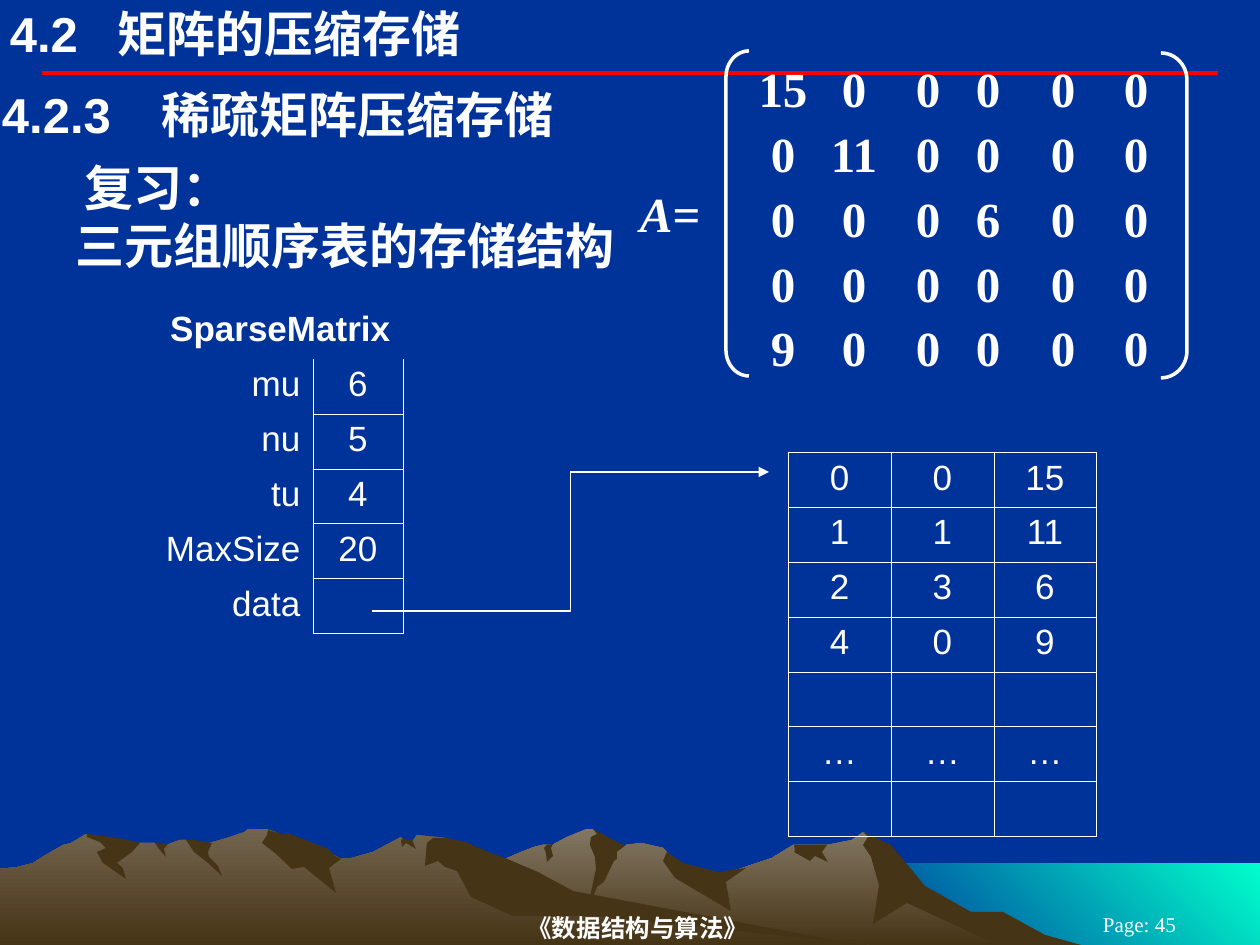
from lxml import etree
from pptx import Presentation
from pptx.dml.color import RGBColor
from pptx.enum.shapes import MSO_CONNECTOR, MSO_SHAPE
from pptx.enum.text import MSO_ANCHOR, PP_ALIGN
from pptx.oxml.ns import qn
from pptx.util import Pt

STRAIGHT, ELBOW = MSO_CONNECTOR.STRAIGHT, MSO_CONNECTOR.ELBOW
RECTANGLE = MSO_SHAPE.RECTANGLE
LEFT_BRACKET, RIGHT_BRACKET = MSO_SHAPE.LEFT_BRACKET, MSO_SHAPE.RIGHT_BRACKET
LEFT, CENTER, RIGHT = PP_ALIGN.LEFT, PP_ALIGN.CENTER, PP_ALIGN.RIGHT
TOP, MIDDLE = MSO_ANCHOR.TOP, MSO_ANCHOR.MIDDLE

SCALE = 914400 / 126
WIDTH, HEIGHT = 1260, 945
SANS, SERIF = "Arial", "Times New Roman"
WHITE, NAVY, RED, TEAL, EARTH = "FFFFFF", "003399", "FF0000", "00FFCC", "463416"
NO_GRID_STYLE = "{2D5ABB26-0587-4C30-8999-92F81FD0307C}"
ROW_HEIGHT = 55

FAR_RIDGE = [
    (1011, 932), (980, 916), (963, 911), (911, 879), (885, 845), (863, 832), (852, 840),
    (827, 845), (793, 845), (772, 858), (713, 878), (675, 869), (667, 852), (663, 848),
    (641, 843), (626, 845), (612, 848), (597, 833), (593, 829), (586, 829), (567, 837),
    (552, 845), (542, 845), (534, 847), (519, 853), (496, 863), (447, 879), (412, 893),
    (349, 931), (325, 945), (1034, 945)]
FAR_SHADES = [
    [(1003, 912), (971, 912), (925, 886), (891, 845), (863, 832), (868, 837), (863, 845),
     (871, 857), (879, 885), (873, 924), (907, 903), (998, 945), (1081, 945), (1045, 935)],
    [(593, 829), (597, 834), (591, 837), (590, 845), (595, 857), (596, 869), (586, 916),
     (597, 887), (604, 882), (614, 861), (617, 859), (617, 852), (626, 845), (621, 844)],
    [(667, 852), (663, 861), (675, 878), (731, 911), (726, 882), (746, 868), (718, 872),
     (683, 863)],
    [(794, 845), (795, 851), (794, 852), (810, 861), (815, 856), (828, 862), (822, 852),
     (827, 845)],
    [(546, 853), (544, 848), (547, 845), (553, 844), (551, 848), (553, 856), (547, 862)]]
NEAR_RIDGE = [
    (869, 945), (840, 942), (544, 897), (446, 838), (417, 835), (412, 842), (407, 842),
    (401, 837), (373, 852), (352, 858), (341, 859), (328, 852), (297, 858), (281, 835),
    (276, 832), (267, 829), (248, 829), (244, 832), (227, 838), (202, 845), (186, 840),
    (180, 840), (166, 845), (161, 845), (155, 843), (140, 843), (118, 845), (86, 834),
    (71, 843), (63, 845), (44, 856), (33, 863), (18, 867), (0, 869), (0, 945)]
NEAR_SHADES = [
    [(267, 835), (262, 843), (276, 854), (292, 869), (304, 867), (336, 893), (329, 868),
     (341, 859), (335, 856), (328, 849), (318, 845), (300, 838), (290, 834), (282, 834),
     (268, 830)],
    [(466, 842), (446, 838), (433, 838), (427, 843), (425, 866), (438, 861), (445, 867),
     (457, 871), (471, 897), (513, 916), (595, 916), (869, 945), (861, 945), (573, 891),
     (538, 872), (505, 858), (486, 851)],
    [(401, 840), (403, 839), (401, 837), (407, 840), (412, 840), (416, 849), (406, 843),
     (402, 847)],
    [(194, 840), (212, 843), (208, 852), (209, 857), (218, 866), (222, 876), (208, 863),
     (194, 852), (186, 840)],
    [(168, 844), (164, 849), (166, 857), (159, 849), (155, 843)],
    [(137, 842), (140, 843), (132, 852), (117, 863), (123, 868), (126, 879), (103, 863),
     (97, 852), (106, 848), (100, 842), (87, 837), (87, 834), (118, 838)]]

MATRIX = [
    (15, 0, 0, 0, 0, 0), (0, 11, 0, 0, 0, 0), (0, 0, 0, 6, 0, 0),
    (0, 0, 0, 0, 0, 0), (9, 0, 0, 0, 0, 0)]
MATRIX_COLUMNS = [25, 96, 170, 230, 305, 378]
FIELDS = [["SparseMatrix", ""], ["mu", "6"], ["nu", "5"], ["tu", "4"], ["MaxSize", "20"], ["data", ""]]
TRIPLES = [
    ["0", "0", "15"], ["1", "1", "11"], ["2", "3", "6"], ["4", "0", "9"],
    [""] * 3, ["…"] * 3, [""] * 3]


def px(length):
    return round(length * SCALE)


def rgb(color):
    return RGBColor.from_string(color)


class Page:
    """Holds the slide being drawn and its style."""

    def __init__(self, deck):
        self.slide = deck.slides.add_slide(deck.slide_layouts[6])
        self.shapes = self.slide.shapes
        background = self.slide.background.fill
        background.solid()
        background.fore_color.rgb = rgb(NAVY)

    def paint(self, shape, colors, angle=270):
        shape.shadow.inherit = False
        shape.line.fill.background()
        if len(colors) == 1:
            shape.fill.solid()
            shape.fill.fore_color.rgb = rgb(colors[0])
            return
        shape.fill.gradient()
        shape.fill.gradient_angle = angle
        for stop, color in zip(shape.fill.gradient_stops, colors):
            stop.color.rgb = rgb(color)

    def block(self, x, y, width, height, colors, angle):
        shape = self.shapes.add_shape(RECTANGLE, px(x), px(y), px(width), px(height))
        self.paint(shape, colors, angle)

    def outline(self, points, *colors):
        builder = self.shapes.build_freeform(*points[0], scale=SCALE)
        builder.add_line_segments(points[1:], close=True)
        self.paint(builder.convert_to_shape(), colors)

    def bracket(self, kind, x, y, width, height, curve):
        shape = self.shapes.add_shape(kind, px(x), px(y), px(width), px(height))
        shape.adjustments[0] = curve / width
        shape.shadow.inherit = False
        shape.fill.background()
        shape.line.color.rgb = rgb(WHITE)
        shape.line.width = Pt(2)

    def line(self, kind, start, end, color, weight, arrow=False):
        line = self.shapes.add_connector(kind, *map(px, start + end))
        line.line.color.rgb = rgb(color)
        line.line.width = Pt(weight)
        properties = line._element.spPr
        if arrow:
            etree.SubElement(properties.find(qn("a:ln")), qn("a:tailEnd"), type="triangle")
        etree.SubElement(properties, qn("a:effectLst"))

    def style(self, para, size, font=SANS, bold=False, align=LEFT):
        para.alignment = align
        para.font.size = Pt(size)
        para.font.name = font
        para.font.bold = bold
        para.font.color.rgb = rgb(WHITE)

    def text(self, x, y, width, height, lines, size=28, font=SANS, bold=True, align=LEFT,
             anchor=TOP, tabs=(), tab_kind="l", indents=(), pitch=None):
        frame = self.shapes.add_textbox(px(x), px(y), px(width), px(height)).text_frame
        frame.word_wrap = True
        frame.vertical_anchor = anchor
        frame.margin_left = frame.margin_right = frame.margin_top = frame.margin_bottom = 0
        for index, line in enumerate(lines):
            para = frame.paragraphs[0] if index == 0 else frame.add_paragraph()
            para.text = line
            properties = para._p.get_or_add_pPr()
            if indents:
                properties.set("marL", str(px(indents[index])))
            if pitch:
                para.line_spacing = Pt(pitch)
            if tabs:
                stops = etree.SubElement(properties, qn("a:tabLst"))
                for tab in tabs:
                    etree.SubElement(stops, qn("a:tab"), pos=str(px(tab)), algn=tab_kind)
            self.style(para, size, font, bold, align)
        return frame

    def table(self, x, y, widths, rows, aligns, bordered):
        table = self.shapes.add_table(
            len(rows), len(widths), px(x), px(y), px(sum(widths)), px(ROW_HEIGHT * len(rows))).table
        table.first_row = table.horz_banding = False
        table._tbl.tblPr.find(qn("a:tableStyleId")).text = NO_GRID_STYLE
        for column, width in zip(table.columns, widths):
            column.width = px(width)
        for r, row in enumerate(rows):
            table.rows[r].height = px(ROW_HEIGHT)
            for c, value in enumerate(row):
                cell = table.cell(r, c)
                cell.text = value
                self.style(cell.text_frame.paragraphs[0], 20, align=aligns[c])
                for side in bordered(r, c):
                    self.border(cell, side)
                cell.fill.background()
        return table

    def border(self, cell, side):
        edge = etree.SubElement(cell._tc.get_or_add_tcPr(), qn("a:ln" + side), w=str(Pt(0.45)))
        fill = etree.SubElement(edge, qn("a:solidFill"))
        etree.SubElement(fill, qn("a:srgbClr"), val=WHITE)


def main():
    deck = Presentation()
    deck.slide_width, deck.slide_height = px(WIDTH), px(HEIGHT)
    page = Page(deck)

    page.block(861, 863, 399, 82, (TEAL, NAVY), 225)
    page.outline(FAR_RIDGE, "837763", EARTH)
    for shade in FAR_SHADES:
        page.outline(shade, EARTH)
    page.outline(NEAR_RIDGE, "72644E", EARTH)
    for shade in NEAR_SHADES:
        page.outline(shade, EARTH)
    page.line(STRAIGHT, (42, 73), (1218, 73), RED, 2.25)
    page.text(256, 910, 764, 35, ["《数据结构与算法》"], 14, SERIF, align=CENTER, anchor=MIDDLE)
    page.text(1040, 914, 199, 21, ["Page: 45"], 12, SERIF, False, CENTER, MIDDLE)

    page.text(10, 4, 819, 59, ["4.2\t矩阵的压缩存储"], tabs=[108])
    page.text(2, 85, 1256, 60, ["4.2.3\t稀疏矩阵压缩存储"], tabs=[160])
    page.text(0, 157, 1250, 120, ["复习：", "三元组顺序表的存储结构"], indents=[85, 76])

    rows = ["".join(f"\t{value}" for value in row) for row in MATRIX]
    page.text(758, 53, 462, 334, rows, font=SERIF, tabs=MATRIX_COLUMNS, tab_kind="ctr", pitch=37)
    page.bracket(LEFT_BRACKET, 726, 51, 23, 325, 26)
    page.bracket(RIGHT_BRACKET, 1161, 53, 26, 325, 27)
    label = page.text(640, 184, 76, 63, [""], font=SERIF).paragraphs[0]
    for symbol, slanted in (("A", True), ("=", False)):
        span = label.add_run()
        span.text = symbol
        span.font.italic = slanted

    fields = page.table(144, 304, [169, 90], FIELDS, [RIGHT, CENTER],
                        lambda r, c: "LRB" if r and c else "")
    fields.cell(0, 0).merge(fields.cell(0, 1))
    fields.cell(0, 0).text_frame.paragraphs[0].font.bold = True
    page.table(788, 452, [103, 103, 102], TRIPLES, [CENTER] * 3, lambda r, c: "LRTB")
    page.line(ELBOW, (372, 611), (769, 472), WHITE, 1, arrow=True)
    deck.save("out.pptx")


if __name__ == "__main__":
    main()
